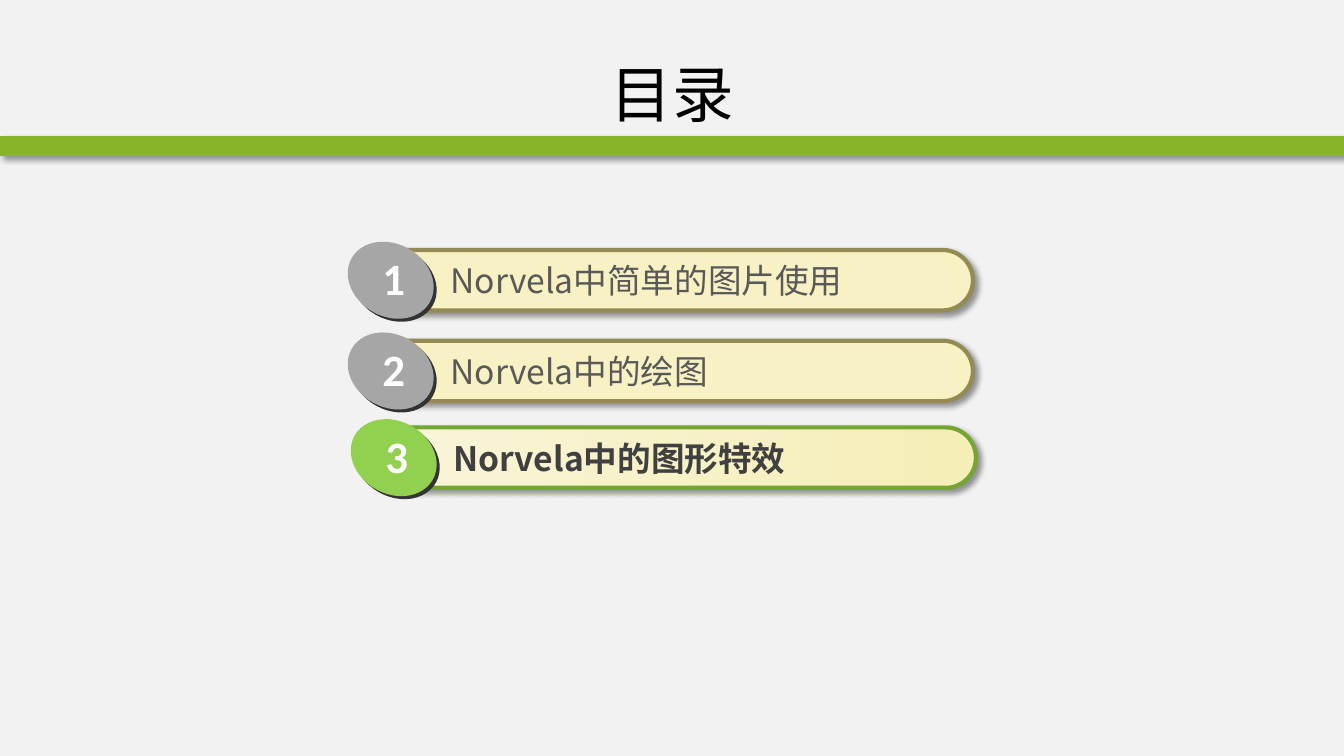
from dataclasses import dataclass

from lxml import etree
from pptx import Presentation
from pptx.dml.color import RGBColor
from pptx.enum.shapes import MSO_SHAPE
from pptx.enum.text import MSO_ANCHOR, MSO_AUTO_SIZE, PP_ALIGN
from pptx.oxml.ns import qn
from pptx.util import Inches, Pt

RECT, PILL, OVAL = MSO_SHAPE.RECTANGLE, MSO_SHAPE.ROUNDED_RECTANGLE, MSO_SHAPE.OVAL
MIDDLE, CENTER, LEFT = MSO_ANCHOR.MIDDLE, PP_ALIGN.CENTER, PP_ALIGN.LEFT
GROW = MSO_AUTO_SIZE.SHAPE_TO_FIT_TEXT

CJK = "Noto Sans CJK SC"
TITLE_FONT = {"name": CJK, "size": Pt(44), "bold": False}
NUMBER_FONT = {"name": "Calibri", "size": Pt(32), "bold": True}
LABEL_FONT = {"name": CJK, "size": Pt(24), "bold": False}
DISC_W, DISC_H, DISC_TILT = 0.89, 0.72, 29.3


@dataclass
class Entry:
    number: str
    label: str
    left: float
    top: float
    fills: tuple = ("F7F1C4",)
    border: str = "948A54"
    disc: str = "A6A6A6"
    ink: str = "595959"
    bold: bool = False


ENTRIES = [
    Entry("1", "Norvela中简单的图片使用", 3.65, 2.48),
    Entry("2", "Norvela中的绘图", 3.65, 3.38),
    Entry("3", "Norvela中的图形特效", 3.68, 4.24, ("F9F5D9", "F5EEB7"),
          "74A731", "92D050", "404040", True),
]


def rgb(value: str) -> RGBColor:
    return RGBColor.from_string(value)


def box(left: float, top: float, width: float, height: float) -> list:
    return [Inches(v) for v in (left, top, width, height)]


def add_shadow(shape) -> None:
    effects = shape._element.spPr.find(qn("a:effectLst"))
    outer = etree.SubElement(effects, qn("a:outerShdw"), blurRad=str(Pt(4)),
                             dist=str(Pt(3)), dir="2700000", algn="tl", rotWithShape="0")
    color = etree.SubElement(outer, qn("a:srgbClr"), val="000000")
    etree.SubElement(color, qn("a:alpha"), val="40000")


def add_solid(shapes, kind, place: list, fill: str):
    shape = shapes.add_shape(kind, *place)
    shape.shadow.inherit = False
    shape.fill.solid()
    shape.fill.fore_color.rgb = rgb(fill)
    shape.line.fill.background()
    return shape


def write(tf, text: str, color: str, fmt: dict, align) -> None:
    p = tf.paragraphs[0]
    p.alignment = align
    r = p.add_run()
    r.text = text
    for name, value in fmt.items():
        setattr(r.font, name, value)
    r.font.color.rgb = rgb(color)
    etree.SubElement(r.font._element, qn("a:ea"), typeface=fmt["name"])


def add_text(shapes, place: list, text: str, color: str, fmt: dict, align, wrap: bool) -> None:
    tf = shapes.add_textbox(*place).text_frame
    tf.word_wrap = wrap
    tf.auto_size = GROW
    write(tf, text, color, fmt, align)


def add_entry(s, entry: Entry) -> None:
    shapes = s.shapes.add_group_shape().shapes
    x, y = entry.left, entry.top
    pill = add_solid(shapes, PILL, box(x, y, 6, 0.6), entry.fills[0])
    pill.adjustments[0] = 0.5
    if len(entry.fills) > 1:
        pill.fill.gradient()
        pill.fill.gradient_angle = 0
        for i, (stop, color) in enumerate(zip(pill.fill.gradient_stops, entry.fills)):
            stop.position = i
            stop.color.rgb = rgb(color)
    pill.line.color.rgb = rgb(entry.border)
    pill.line.width = Pt(3)
    add_shadow(pill)
    add_text(shapes, box(x + 0.72, y + 0.05, 4.6, 0.51), entry.label, entry.ink,
             {**LABEL_FONT, "bold": entry.bold}, LEFT, True)
    for dx, dy, color in ((-0.19, -0.03, "333333"), (-0.22, -0.06, entry.disc)):
        disc = add_solid(shapes, OVAL, box(x + dx, y + dy, DISC_W, DISC_H), color)
        disc.rotation = DISC_TILT
    add_text(shapes, box(x + 0.04, y - 0.04, 0.43, 0.64), entry.number, "FFFFFF",
             NUMBER_FONT, CENTER, False)


def main() -> None:
    prs = Presentation()
    prs.slide_width, prs.slide_height = Inches(13.33), Inches(7.5)
    s = prs.slides.add_slide(prs.slide_layouts[5])
    s.background.fill.solid()
    s.background.fill.fore_color.rgb = rgb("F2F2F2")

    title = s.shapes.title
    title.left, title.top, title.width, title.height = box(0.67, 0.3, 12, 1.25)
    title.text_frame.vertical_anchor = MIDDLE
    write(title.text_frame, "目录", "000000", TITLE_FONT, CENTER)

    bar = add_solid(s.shapes, RECT, box(0, 1.35, 13.33, 0.2), "88B429")
    add_shadow(bar)
    for entry in ENTRIES:
        add_entry(s, entry)
    prs.save("out.pptx")


if __name__ == "__main__":
    main()
